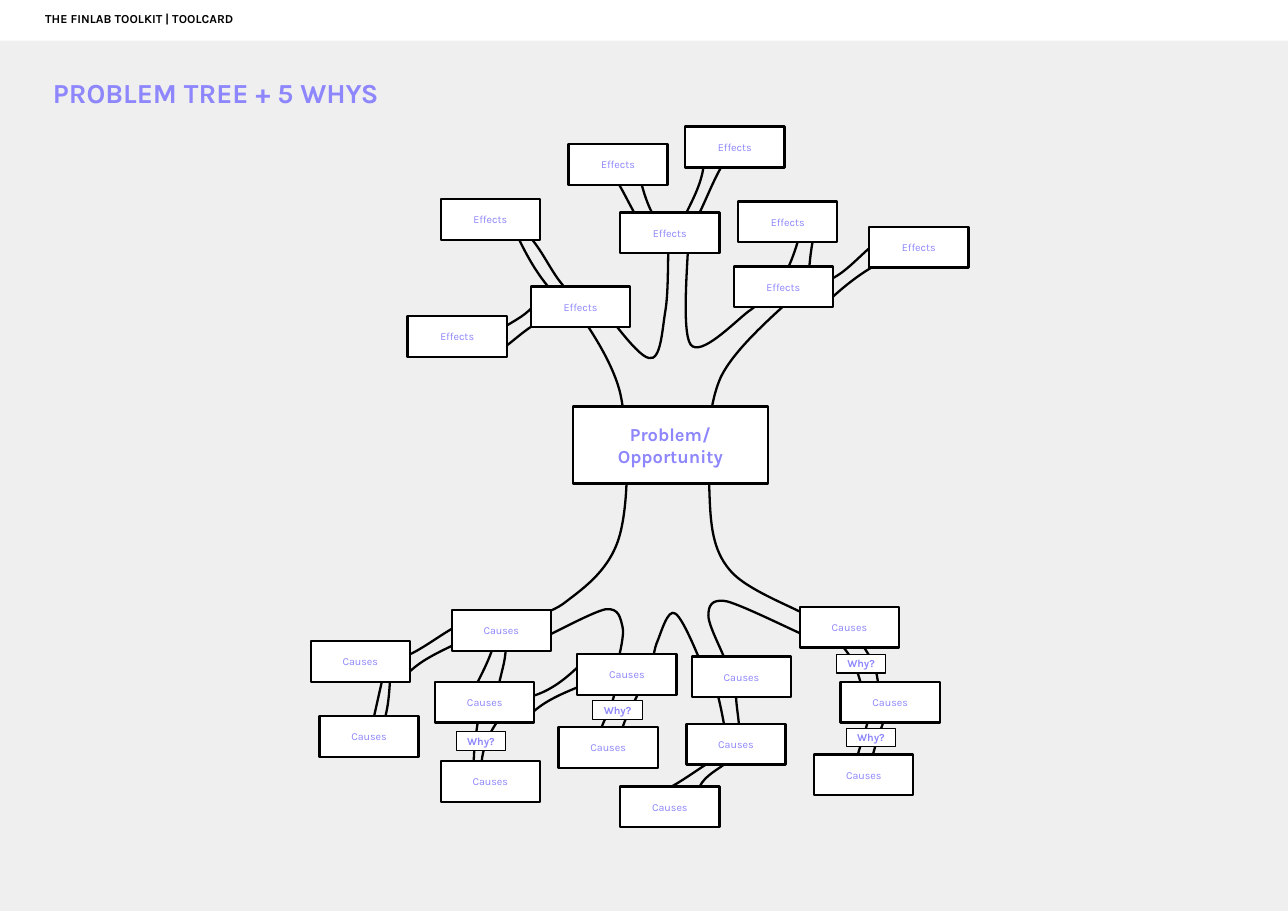
from dataclasses import dataclass

from lxml.etree import SubElement
from pptx import Presentation
from pptx.dml.color import RGBColor
from pptx.enum.shapes import MSO_SHAPE
from pptx.enum.text import MSO_ANCHOR, MSO_AUTO_SIZE, PP_ALIGN
from pptx.oxml.ns import qn
from pptx.util import Inches, Pt


@dataclass(frozen=True)
class Theme:
    font: str = "Karla"
    backdrop: RGBColor = RGBColor(0xEF, 0xEF, 0xEF)
    white: RGBColor = RGBColor(0xFF, 0xFF, 0xFF)
    black: RGBColor = RGBColor(0, 0, 0)
    violet: RGBColor = RGBColor(0x8D, 0x86, 0xFC)
    title_size: Pt = Pt(18)
    problem_size: Pt = Pt(12)
    header_size: Pt = Pt(8)
    label_size: Pt = Pt(7)
    branch_line: Pt = Pt(1.5)
    why_line: Pt = Pt(0.75)


THEME = Theme()
NODE_SIZE = (0.9, 0.37)
WHY_SIZE = (0.45, 0.17)

EFFECTS = [
    (6.22, 1.15), (5.16, 1.31), (5.63, 1.93), (3.7, 2.87), (4, 1.81),
    (4.82, 2.6), (6.66, 2.42), (7.89, 2.06), (6.7, 1.83),
]
CAUSES = [
    (4.1, 5.54), (2.9, 6.5), (2.82, 5.82), (5.07, 6.6), (5.24, 5.94),
    (4, 6.91), (3.95, 6.19), (7.39, 6.85), (7.63, 6.19), (7.26, 5.51),
    (6.28, 5.96), (5.63, 7.14), (6.23, 6.57),
]
WHYS = [(4.14, 6.64), (5.38, 6.36), (7.68, 6.61), (7.59, 5.94)]

# Each curve: a start point, then two control points and an end point per segment.
TRUNK = [
    [(5.12, 2.64), (5.21, 2.79), (5.54, 3.2), (5.63, 3.57),
     (5.71, 3.94), (5.71, 4.53), (5.63, 4.84),
     (5.55, 5.16), (5.31, 5.33), (5.14, 5.46),
     (4.97, 5.6), (4.69, 5.62), (4.6, 5.65)],
    [(7.33, 2.57), (7.2, 2.72), (6.69, 3.11), (6.54, 3.43),
     (6.4, 3.75), (6.43, 4.19), (6.44, 4.48),
     (6.45, 4.77), (6.47, 4.99), (6.62, 5.17),
     (6.76, 5.35), (7.2, 5.51), (7.31, 5.58)],
]
FORKS = [
    [(5.37, 2.67), (5.46, 2.77), (5.77, 3.23), (5.89, 3.25),
     (6, 3.28), (6.01, 2.99), (6.04, 2.82),
     (6.07, 2.64), (6.06, 2.29), (6.07, 2.19)],
    [(6.25, 2.14), (6.25, 2.3), (6.18, 3.01), (6.27, 3.13),
     (6.36, 3.24), (6.65, 2.94), (6.79, 2.83),
     (6.94, 2.73), (7.07, 2.56), (7.12, 2.5)],
    [(4.95, 5.78), (5.04, 5.74), (5.39, 5.55), (5.5, 5.53),
     (5.62, 5.52), (5.63, 5.61), (5.65, 5.69),
     (5.67, 5.76), (5.62, 5.95), (5.61, 6)],
    [(6.41, 6.13), (6.37, 6.04), (6.21, 5.62), (6.13, 5.57),
     (6.06, 5.52), (6, 5.75), (5.96, 5.84),
     (5.93, 5.92), (5.92, 6.06), (5.91, 6.11)],
    [(6.58, 5.99), (6.56, 5.92), (6.43, 5.68), (6.43, 5.59),
     (6.43, 5.51), (6.45, 5.43), (6.6, 5.46),
     (6.75, 5.5), (7.21, 5.73), (7.33, 5.78)],
]
EFFECT_TWIGS = [
    [(5.78, 1.97), (5.72, 1.87), (5.67, 1.76), (5.61, 1.66)],
    [(5.94, 1.97), (5.88, 1.87), (5.84, 1.74), (5.81, 1.62)],
    [(6.22, 1.95), (6.3, 1.79), (6.39, 1.62), (6.39, 1.44)],
    [(6.34, 1.95), (6.41, 1.81), (6.47, 1.65), (6.55, 1.51)],
    [(4.83, 2.79), (4.75, 2.88), (4.63, 2.93), (4.53, 3)],
    [(4.92, 2.91), (4.79, 2.97), (4.69, 3.07), (4.57, 3.16)],
    [(4.99, 2.62), (4.87, 2.48), (4.78, 2.32), (4.7, 2.15)],
    [(5.11, 2.59), (4.99, 2.45), (4.92, 2.26), (4.78, 2.12)],
    [(7.13, 2.48), (7.18, 2.38), (7.22, 2.27), (7.25, 2.16)],
    [(7.34, 2.49), (7.35, 2.37), (7.36, 2.25), (7.39, 2.13)],
    [(7.48, 2.56), (7.66, 2.5), (7.78, 2.34), (7.93, 2.22)],
    [(7.52, 2.73), (7.66, 2.6), (7.82, 2.47), (8, 2.38)],
]
CAUSE_TWIGS = [
    [(4.15, 5.68), (3.95, 5.79), (3.77, 5.95), (3.56, 6)],
    [(4.17, 5.83), (3.99, 5.92), (3.79, 6), (3.66, 6.16)],
    [(4.47, 5.89), (4.42, 6.04), (4.34, 6.18), (4.27, 6.32)],
    [(4.59, 5.88), (4.59, 6.01), (4.54, 6.13), (4.52, 6.26)],
    [(3.54, 6.18), (3.53, 6.33), (3.52, 6.48), (3.46, 6.61)],
    [(3.47, 6.17), (3.44, 6.3), (3.41, 6.44), (3.38, 6.57)],
    [(5.27, 6.03), (5.14, 6.16), (5, 6.27), (4.83, 6.32)],
    [(5.29, 6.22), (5.12, 6.29), (4.94, 6.36), (4.81, 6.49)],
    [(5.58, 6.28), (5.56, 6.41), (5.48, 6.53), (5.44, 6.66)],
    [(5.79, 6.3), (5.74, 6.41), (5.67, 6.52), (5.64, 6.64)],
    [(4.34, 6.53), (4.32, 6.67), (4.3, 6.8), (4.3, 6.94)],
    [(4.53, 6.53), (4.44, 6.65), (4.37, 6.81), (4.37, 6.96)],
    [(7.65, 5.87), (7.73, 5.96), (7.78, 6.08), (7.81, 6.19)],
    [(7.83, 5.86), (7.91, 5.97), (7.97, 6.1), (7.97, 6.23)],
    [(7.88, 6.53), (7.85, 6.67), (7.79, 6.81), (7.76, 6.95)],
    [(8.02, 6.55), (7.98, 6.66), (7.94, 6.78), (7.91, 6.9)],
    [(6.51, 6.29), (6.54, 6.4), (6.56, 6.51), (6.58, 6.62)],
    [(6.68, 6.29), (6.68, 6.41), (6.71, 6.53), (6.71, 6.64)],
    [(6.44, 6.92), (6.31, 7), (6.18, 7.1), (6.04, 7.17)],
    [(6.6, 6.92), (6.51, 6.99), (6.4, 7.04), (6.35, 7.14)],
]


def write_text(shape, text, size, color, bold=False, align=PP_ALIGN.CENTER,
               anchor=MSO_ANCHOR.MIDDLE, margins=(0, 0)):
    """Fill the shape with one paragraph per line; margins are left and top."""
    frame = shape.text_frame
    frame.text = text
    frame.word_wrap = True
    frame.auto_size = MSO_AUTO_SIZE.NONE
    frame.vertical_anchor = anchor
    frame.margin_left, frame.margin_top = map(Inches, margins)
    frame.margin_right = frame.margin_bottom = 0
    for para in frame.paragraphs:
        para.alignment = align
        para.font.name = THEME.font
        para.font.size = size
        para.font.bold = bold
        para.font.color.rgb = color


def add_box(page, position, size, line_width=None):
    box = page.shapes.add_shape(MSO_SHAPE.RECTANGLE, *map(Inches, position + size))
    box.shadow.inherit = False
    box.fill.solid()
    box.fill.fore_color.rgb = THEME.white
    if line_width is None:
        box.line.fill.background()
    else:
        box.line.color.rgb = THEME.black
        box.line.width = line_width
    return box


def add_curve(page, points):
    """Draw a freeform whose straight segments are regrouped into Bézier curves."""
    start, *others = [(Inches(x), Inches(y)) for x, y in points]
    builder = page.shapes.build_freeform(*start)
    builder.add_line_segments(others, close=False)
    curve = builder.convert_to_shape()
    curve.shadow.inherit = False
    curve.fill.background()
    curve.line.color.rgb = THEME.black
    curve.line.width = THEME.branch_line

    outline = curve.element.find(".//" + qn("a:path"))
    segments = outline.findall(qn("a:lnTo"))
    ends = [segment[0] for segment in segments]
    for segment in segments:
        outline.remove(segment)
    for first in range(0, len(ends), 3):
        SubElement(outline, qn("a:cubicBezTo")).extend(ends[first:first + 3])


def add_title(page):
    title = page.shapes.title
    title.left, title.top, title.width, title.height = map(Inches, (0, 0.59, 6.64, 0.51))
    write_text(title, "PROBLEM TREE + 5 WHYS", THEME.title_size, THEME.violet, True,
               PP_ALIGN.LEFT, MSO_ANCHOR.TOP, (0.48, 0.1))


def add_header(page):
    header = add_box(page, (0, 0), (11.69, 0.37))
    write_text(header, "THE FINLAB TOOLKIT | TOOLCARD", THEME.header_size, THEME.black, True,
               PP_ALIGN.LEFT, MSO_ANCHOR.TOP, (0.41, 0.1))


def main():
    deck = Presentation()
    deck.slide_width, deck.slide_height = Inches(11.69), Inches(8.27)
    page = deck.slides.add_slide(deck.slide_layouts.get_by_name("Title Only"))
    page.background.fill.solid()
    page.background.fill.fore_color.rgb = THEME.backdrop

    add_title(page)
    for points in TRUNK + FORKS + EFFECT_TWIGS + CAUSE_TWIGS:
        add_curve(page, points)
    problem = add_box(page, (5.2, 3.69), (1.77, 0.7), THEME.branch_line)
    write_text(problem, "Problem/\nOpportunity", THEME.problem_size, THEME.violet, True)
    for label, positions, size, line_width, bold in (
        ("Effects", EFFECTS, NODE_SIZE, THEME.branch_line, False),
        ("Causes", CAUSES, NODE_SIZE, THEME.branch_line, False),
        ("Why?", WHYS, WHY_SIZE, THEME.why_line, True),
    ):
        for position in positions:
            box = add_box(page, position, size, line_width)
            write_text(box, label, THEME.label_size, THEME.violet, bold)
    add_header(page)
    deck.save("out.pptx")


if __name__ == "__main__":
    main()
